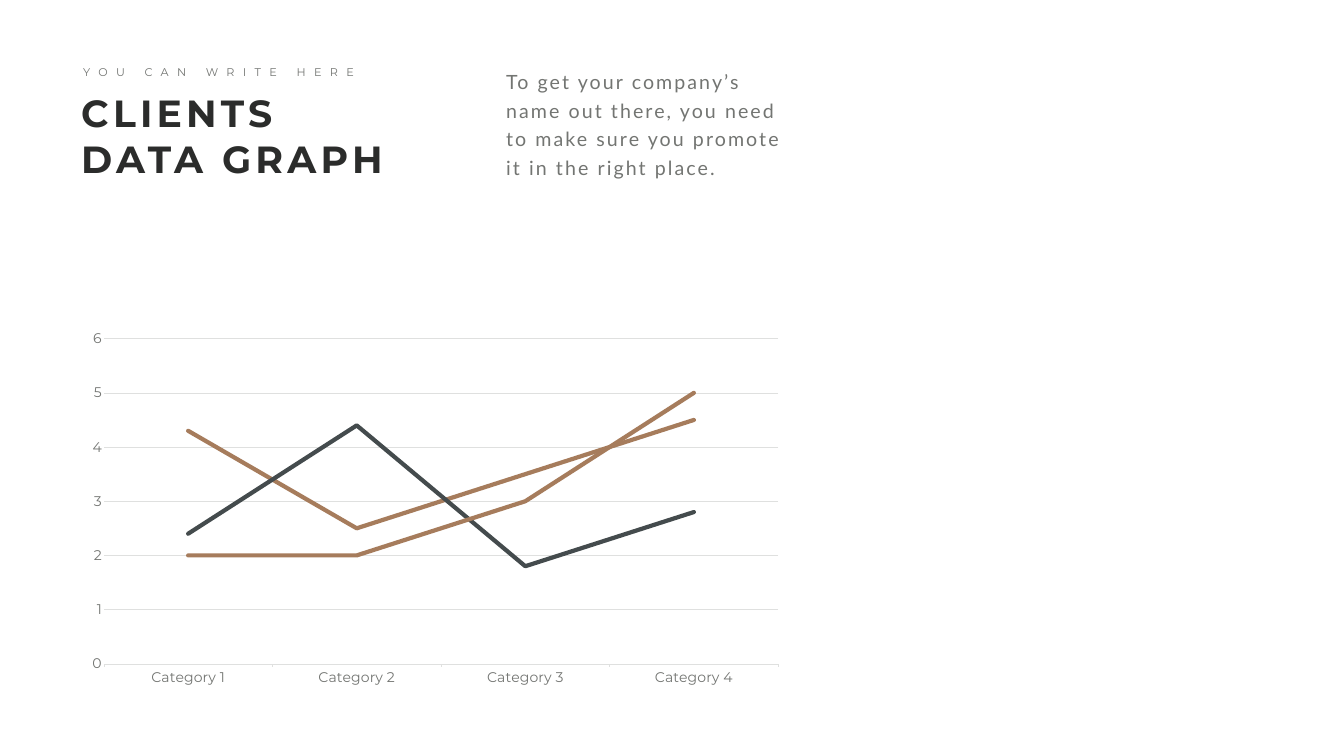
import pptx
import pptx.chart.data
import pptx.dml.color
import pptx.enum.chart
import pptx.enum.text
import pptx.util

Cm, Pt = pptx.util.Cm, pptx.util.Pt
RGB = pptx.dml.color.RGBColor
TICK = pptx.enum.chart.XL_TICK_MARK

INK = RGB(0x2B, 0x2C, 0x2B)
GRAY = RGB(0x73, 0x75, 0x72)
RULE = RGB(0xDF, 0xE0, 0xDF)
BROWN = RGB(0xA6, 0x7C, 0x5C)
SLATE = RGB(0x44, 0x4B, 0x4D)

# Content: text, box in cm, font, size, colour, bold, letter and line spacing in points
TEXTS = [
    ("CLIENTS DATA GRAPH", (3.84, 4.42, 16.56, 4.88),
     "Montserrat", 54, INK, True, 6, None),
    ("YOU CAN WRITE HERE", (3.94, 3.15, 14.68, 0.94),
     "Montserrat", 16, GRAY, False, 12, None),
    ("To get your company’s name out there, you need to make sure "
     "you promote it in the right place.", (25.25, 3.15, 14.68, 5.94),
     "Lato", 28, GRAY, False, 3, 40.8),
]
CHART_BOX = (3.94, 16.26, 35.99, 18.69)
GROUPS = ["Category 1", "Category 2", "Category 3", "Category 4"]
SERIES = [
    ("Series 1", (4.3, 2.5, 3.5, 4.5), BROWN),
    ("Series 2", (2.4, 4.4, 1.8, 2.8), SLATE),
    ("Series 3", (2, 2, 3, 5), BROWN),
]


def set_font(font, name, size, color, bold=False):
    font.name, font.size, font.bold = name, Pt(size), bold
    font.color.rgb = color


def add_text(slide, text, box, name, size, color, bold, gap, lead):
    frame = slide.shapes.add_textbox(*map(Cm, box)).text_frame
    frame.word_wrap = True
    frame.auto_size = pptx.enum.text.MSO_AUTO_SIZE.SHAPE_TO_FIT_TEXT
    frame.text = text
    para = frame.paragraphs[0]
    if lead:
        para.line_spacing = Pt(lead)
    run = para.runs[0]
    set_font(run.font, name, size, color, bold)
    run.font._element.set("spc", str(gap * 100))


def add_graph(slide):
    data = pptx.chart.data.CategoryChartData()
    data.categories = GROUPS
    for name, values, _ in SERIES:
        data.add_series(name, values)
    kind = pptx.enum.chart.XL_CHART_TYPE.LINE
    chart = slide.shapes.add_chart(kind, *map(Cm, CHART_BOX), data).chart
    chart.has_legend = chart.has_title = False
    set_font(chart.font, "Montserrat", 20, GRAY)

    # Lines
    for series, (_, _, color) in zip(chart.plots[0].series, SERIES):
        series.smooth = False
        series.marker.style = pptx.enum.chart.XL_MARKER_STYLE.NONE
        line = series.format.line
        line.color.rgb, line.width = color, Pt(6)
        series.format.line._ln.set("cap", "rnd")

    # Axes
    base, scale = chart.category_axis, chart.value_axis
    base.major_tick_mark = TICK.OUTSIDE
    scale.major_tick_mark = TICK.NONE
    scale.minimum_scale, scale.maximum_scale, scale.major_unit = 0, 6, 1
    scale.has_major_gridlines = True
    scale.format.line.fill.background()
    for line in (base.format.line, scale.major_gridlines.format.line):
        line.color.rgb, line.width = RULE, Pt(0.75)
    for axis in (base, scale):
        axis.minor_tick_mark = TICK.NONE
        set_font(axis.tick_labels.font, "Montserrat", 20, GRAY)
    scale.tick_labels.number_format = "General"
    scale.tick_labels.number_format_is_linked = False


def main():
    deck = pptx.Presentation()
    deck.slide_width, deck.slide_height = Cm(67.72), Cm(38.1)
    slide = deck.slides.add_slide(deck.slide_layouts[6])
    for item in TEXTS:
        add_text(slide, *item)
    add_graph(slide)
    deck.save("out.pptx")


if __name__ == "__main__":
    main()
